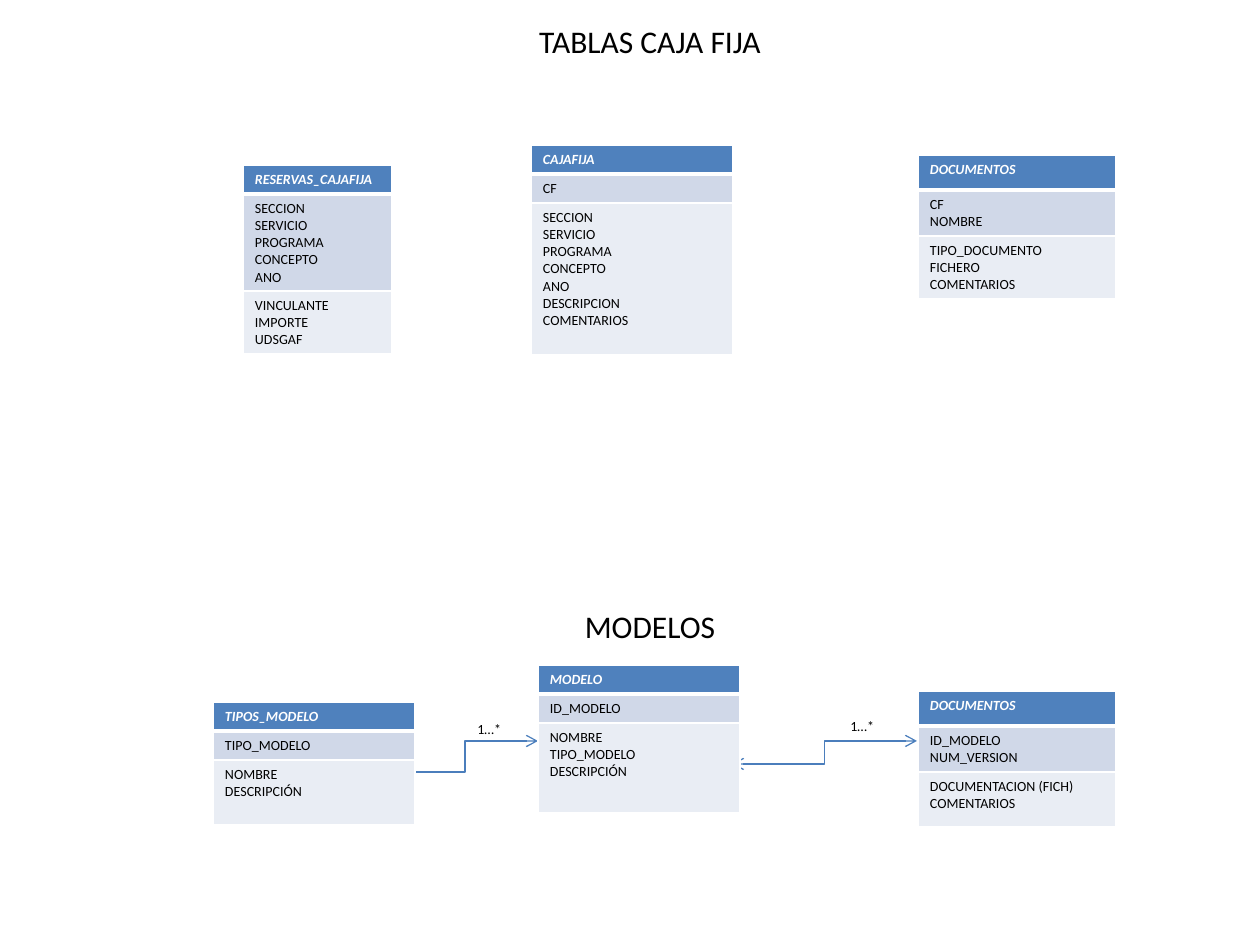
from lxml import etree
from pptx import Presentation
from pptx.dml.color import RGBColor
from pptx.enum.shapes import MSO_CONNECTOR
from pptx.enum.text import MSO_AUTO_SIZE, PP_ALIGN
from pptx.oxml.ns import qn
from pptx.util import Pt

ELBOW = MSO_CONNECTOR.ELBOW
CENTER, LEFT = PP_ALIGN.CENTER, PP_ALIGN.LEFT
GROW = MSO_AUTO_SIZE.SHAPE_TO_FIT_TEXT
color = RGBColor.from_string
WHITE, BLACK, BLUE = "FFFFFF", "000000", "4B7EBC"
FILLS = ["4F81BD", "D0D8E8", "E9EDF4"]


def px(n):
    return round(n * 914400 / 126)


def write(para, text, size, hue=BLACK, strong=False):
    run = para.add_run()
    run.text = text
    font = run.font
    font.name, font.size = "Calibri", Pt(size)
    font.bold = font.italic = strong
    font.color.rgb = color(hue)


prs = Presentation()
prs.slide_width, prs.slide_height = px(1260), px(945)
slide = prs.slides.add_slide(prs.slide_layouts[6])
shapes = slide.shapes

# Titles and link labels: text, size, align, left, top, width, height
texts = [
    ("TABLAS CAJA FIJA", 18, CENTER, 144, 16, 1012, 50),
    ("MODELOS", 18, CENTER, 144, 601, 1012, 50),
    ("1…*", 8, LEFT, 838, 711, 59, 30),
    ("1…*", 8, LEFT, 465, 714, 59, 30),
]
for text, size, align, *box in texts:
    frame = shapes.add_textbox(*map(px, box)).text_frame
    frame.word_wrap = True
    frame.auto_size = GROW
    para = frame.paragraphs[0]
    para.alignment = align
    write(para, text, size)

# Links between the model tables, partly covered by them
for ends in [(732, 764, 917, 741), (392, 772, 538, 741)]:
    link = shapes.add_connector(ELBOW, *map(px, ends))
    link.line.color.rgb = color(BLUE)
    link.line.width = Pt(0.75)
    line = link.line._get_or_add_ln()
    for tag in ("a:headEnd", "a:tailEnd"):
        etree.SubElement(line, qn(tag), type="arrow")
    etree.SubElement(link._element.spPr, qn("a:effectLst"))

# Tables: left, top, width, row heights, name, keys, fields
tables = [
    (243, 165, 149, (29, 97, 63), "RESERVAS_CAJAFIJA",
     ["SECCION", "SERVICIO", "PROGRAMA", "CONCEPTO", "ANO"],
     ["VINCULANTE", "IMPORTE", "UDSGAF"]),
    (531, 145, 202, (29, 29, 152), "CAJAFIJA", ["CF"],
     ["SECCION", "SERVICIO", "PROGRAMA", "CONCEPTO", "ANO",
      "DESCRIPCION", "COMENTARIOS"]),
    (918, 155, 198, (35, 46, 63), "DOCUMENTOS", ["CF", "NOMBRE"],
     ["TIPO_DOCUMENTO", "FICHERO", "COMENTARIOS"]),
    (918, 691, 198, (35, 46, 55), "DOCUMENTOS",
     ["ID_MODELO", "NUM_VERSION"],
     ["DOCUMENTACION (FICH)", "COMENTARIOS"]),
    (538, 665, 202, (29, 29, 90), "MODELO", ["ID_MODELO"],
     ["NOMBRE", "TIPO_MODELO", "DESCRIPCIÓN"]),
    (213, 702, 202, (29, 29, 65), "TIPOS_MODELO", ["TIPO_MODELO"],
     ["NOMBRE", "DESCRIPCIÓN"]),
]
for left, top, width, highs, name, keys, fields in tables:
    box = map(px, (left, top, width, sum(highs)))
    table = shapes.add_table(3, 1, *box).table
    table.first_row = table.horz_banding = False
    for row, lines in enumerate([[name], keys, fields]):
        table.rows[row].height = px(highs[row])
        cell = table.cell(row, 0)
        cell.fill.solid()
        cell.fill.fore_color.rgb = color(FILLS[row])
        cell.margin_left = cell.margin_right = px(12)
        cell.margin_top = cell.margin_bottom = px(6)

        # One paragraph per column name
        frame = cell.text_frame
        for i, text in enumerate(lines):
            para = frame.add_paragraph() if i else frame.paragraphs[0]
            write(para, text, 8, BLACK if row else WHITE, row == 0)

        # White borders, thick between header and keys
        thick = {0: "B", 1: "T"}.get(row)
        props = cell._tc.get_or_add_tcPr()
        for i, side in enumerate("LRTB"):
            wide = Pt(3 if side == thick else 1)
            edge = etree.Element(qn("a:ln" + side), w=str(wide))
            fill = etree.SubElement(edge, qn("a:solidFill"))
            etree.SubElement(fill, qn("a:srgbClr"), val=WHITE)
            props.insert(i, edge)

prs.save("out.pptx")
